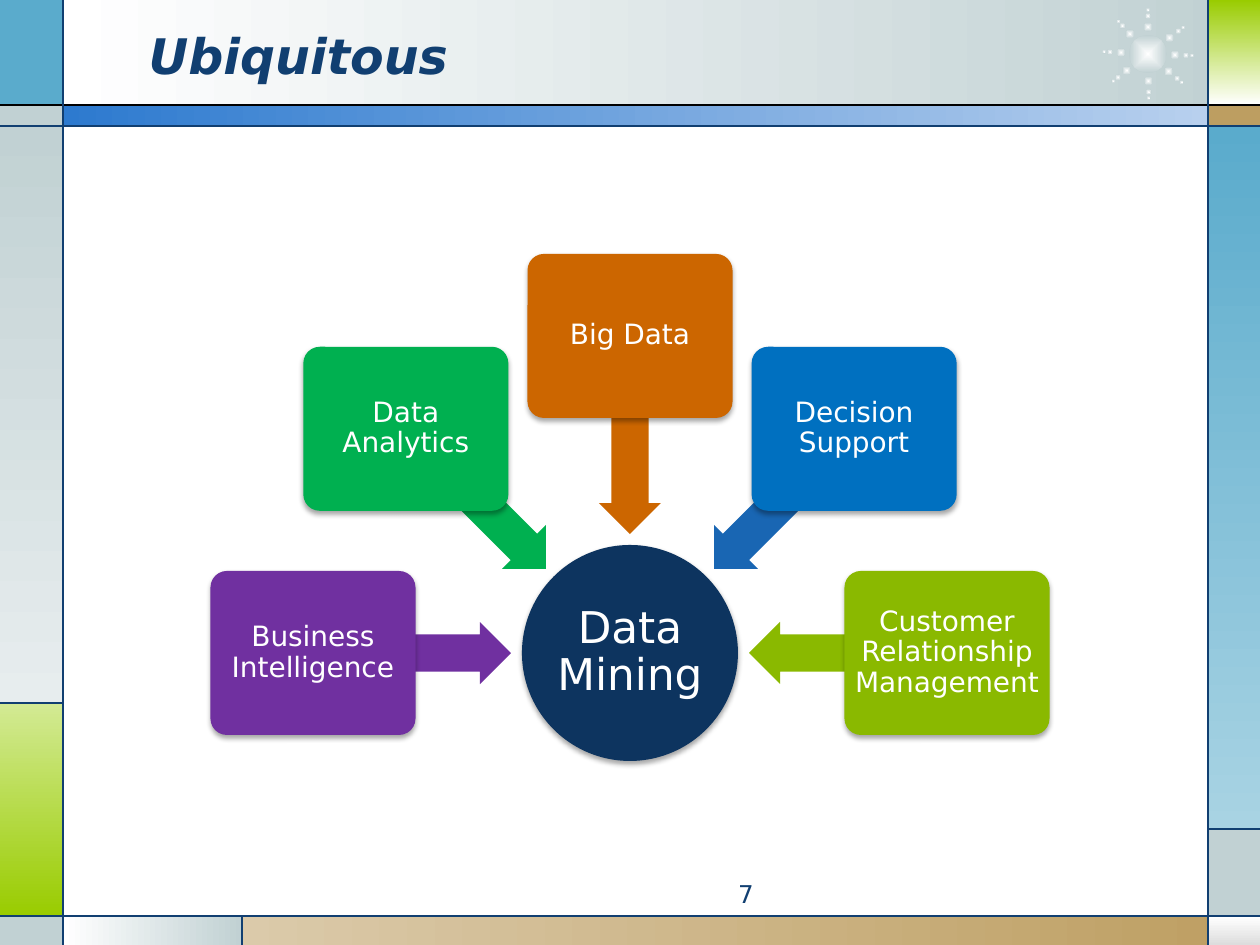
from math import cos, radians, sin

from lxml import etree
from pptx import Presentation, util as u
from pptx.dml.color import RGBColor
from pptx.enum import shapes as s, text as t
from pptx.oxml import parse_xml
from pptx.oxml.ns import nsdecls, qn

SCALE = 914400 / 126
NAVY = "113F71"
GREY = "C1D1D3"


def px(*lengths):
    """Turn px lengths into EMU."""
    return [u.Emu(round(length * SCALE)) for length in lengths]


def paint(item, first, last=None, angle=0):
    """Fill flat, or as a gradient turned clockwise; drop line and shadow."""
    item.shadow.inherit = False
    item.line.fill.background()
    if last is None:
        item.fill.solid()
        item.fill.fore_color.rgb = RGBColor.from_string(first)
        return
    item.fill.gradient()
    item.fill.gradient_angle = -angle % 360
    for stop, color, position in zip(item.fill.gradient_stops, (first, last), (0, 1)):
        stop.color.rgb = RGBColor.from_string(color)
        stop.position = position


presentation = Presentation()
presentation.slide_width, presentation.slide_height = px(1260, 945)
slide = presentation.slides.add_slide(presentation.slide_layouts[5])
tree = slide.shapes

# Frame of coloured panels: left, top, width, height, fill
panels = [
    (63, 0, 1168, 105, ("FFFFFF", GREY)),
    (0, 0, 63, 105, ("5AABCC",)),
    (0, 105, 63, 21, (GREY,)),
    (0, 126, 63, 577, (GREY, "E7EDEE", 90)),
    (0, 703, 63, 213, ("D3EA94", "99CC00", 90)),
    (0, 916, 63, 29, (GREY,)),
    (63, 916, 179, 29, ("FFFFFF", GREY)),
    (242, 916, 1018, 29, ("DBCAAA", "BD9E61")),
    (1208, 916, 52, 29, ("FFFFFF", "DDDDDD", 90)),
    (1208, 829, 52, 87, (GREY,)),
    (1208, 126, 52, 703, ("5AABCC", "A8D3E3", 90)),
    (1208, 105, 52, 21, ("BD9E61",)),
    (1208, 0, 52, 105, ("99CC00", "FFFFFF", 90)),
    (63, 105, 1145, 21, ("2D7ACF", "B8D0EE")),
]
for left, top, width, height, fill in panels:
    panel = tree.add_shape(s.MSO_SHAPE.RECTANGLE, *px(left, top, width, height))
    paint(panel, *fill)

# Sunburst: a core and eight rays of shrinking dots
dots = [(1148, 54, 38)]
for angle in (2, 40, 89, 142, 183, 228, 270, 323):
    for radius, size in ((27, 9), (38, 6), (44, 4)):
        dots.append((1148 + radius * cos(radians(angle)),
                     54 + radius * sin(radians(angle)), size))
for x, y, size in dots:
    dot = tree.add_shape(s.MSO_SHAPE.OVAL, *px(x - size / 2, y - size / 2, size, size))
    paint(dot, "FFFFFF", GREY)
    linear = dot._element.spPr.find(qn("a:gradFill")).find(qn("a:lin"))
    linear.getparent().replace(linear, parse_xml(
        f'<a:path {nsdecls("a")} path="shape">'
        '<a:fillToRect l="50000" t="50000" r="50000" b="50000"/></a:path>'))

# Frame lines: start x, start y, end x, end y, colour
frame_lines = [
    (0, 105, 1260, 105, "000000"),
    (0, 126, 1260, 126, NAVY),
    (0, 916, 1260, 916, NAVY),
    (63, 0, 63, 945, NAVY),
    (1208, 0, 1208, 945, NAVY),
    (0, 703, 63, 703, NAVY),
    (242, 916, 242, 945, NAVY),
    (1208, 829, 1260, 829, NAVY),
]
for *ends, color in frame_lines:
    line = tree.add_connector(s.MSO_CONNECTOR.STRAIGHT, *px(*ends))
    line.line.color.rgb = RGBColor.from_string(color)
    line.line.width = u.Pt(0.75)
    etree.SubElement(line._element.spPr, qn("a:effectLst"))

# Title and page number
title = tree.title
title.left, title.top, title.width, title.height = px(136, 16, 924, 78)
title.text_frame.text = "Ubiquitous"
title.text_frame.vertical_anchor = t.MSO_ANCHOR.MIDDLE
title._element.getparent().append(title._element)
number = tree.add_textbox(*px(472, 873, 294, 34))
number.text_frame.word_wrap = True
number.text_frame.text = "7"
for box, size, bold, alignment in ((title, 28, True, t.PP_ALIGN.LEFT),
                                   (number, 14, False, t.PP_ALIGN.RIGHT)):
    paragraph = box.text_frame.paragraphs[0]
    paragraph.alignment = alignment
    font = paragraph.runs[0].font
    font.name, font.size = "DejaVu Sans", u.Pt(size)
    font.bold = font.italic = bold
    font.color.rgb = RGBColor.from_string(NAVY)

# Topics stand on a half circle around the hub, arrows pointing inwards
hub_x, hub_y, hub_size = 630, 653, 216
box_width, box_height, box_radius = 205, 164, 317
arrow_width, arrow_height, arrow_radius = 198, 62, 218
topics = [
    (180, "Business Intelligence", "7030A0", "7030A0"),
    (225, "Data Analytics", "00B050", "00B050"),
    (270, "Big Data", "CC6600", "CC6600"),
    (315, "Decision Support", "0070C0", "1966B3"),
    (0, "Customer Relationship Management", "8AB900", "8AB900"),
]
hub = tree.add_shape(s.MSO_SHAPE.OVAL, *px(
    hub_x - hub_size / 2, hub_y - hub_size / 2, hub_size, hub_size))
nodes = [(hub, "Data Mining", "0D345F", 25, 3)]
for angle, label, color, arrow_color in topics:
    across, down = cos(radians(angle)), sin(radians(angle))
    arrow = tree.add_shape(s.MSO_SHAPE.LEFT_ARROW, *px(
        hub_x + arrow_radius * across - arrow_width / 2,
        hub_y + arrow_radius * down - arrow_height / 2, arrow_width, arrow_height))
    arrow.rotation = angle
    arrow.adjustments[0], arrow.adjustments[1] = 0.6, 0.5
    paint(arrow, arrow_color)
    topic = tree.add_shape(s.MSO_SHAPE.ROUNDED_RECTANGLE, *px(
        hub_x + box_radius * across - box_width / 2,
        hub_y + box_radius * down - box_height / 2, box_width, box_height))
    topic.adjustments[0] = 0.1
    nodes.append((topic, label, color, 16, 4))

for node, label, color, size, margin in nodes:
    paint(node, color)
    node._element.spPr.find(qn("a:effectLst")).append(parse_xml(
        f'<a:outerShdw {nsdecls("a")} blurRad="39370" dist="22860" dir="5400000" '
        'rotWithShape="0"><a:srgbClr val="000000"><a:alpha val="35000"/>'
        '</a:srgbClr></a:outerShdw>'))
    frame = node.text_frame
    frame.word_wrap = True
    frame.vertical_anchor = t.MSO_ANCHOR.MIDDLE
    frame.margin_left, frame.margin_top, frame.margin_right, frame.margin_bottom = px(
        *[margin] * 4)
    frame.text = label
    paragraph = frame.paragraphs[0]
    paragraph.alignment = t.PP_ALIGN.CENTER
    paragraph.line_spacing = 0.9
    font = paragraph.runs[0].font
    font.name, font.size = "DejaVu Sans", u.Pt(size)
    font.color.rgb = RGBColor.from_string("FFFFFF")

presentation.save("out.pptx")
